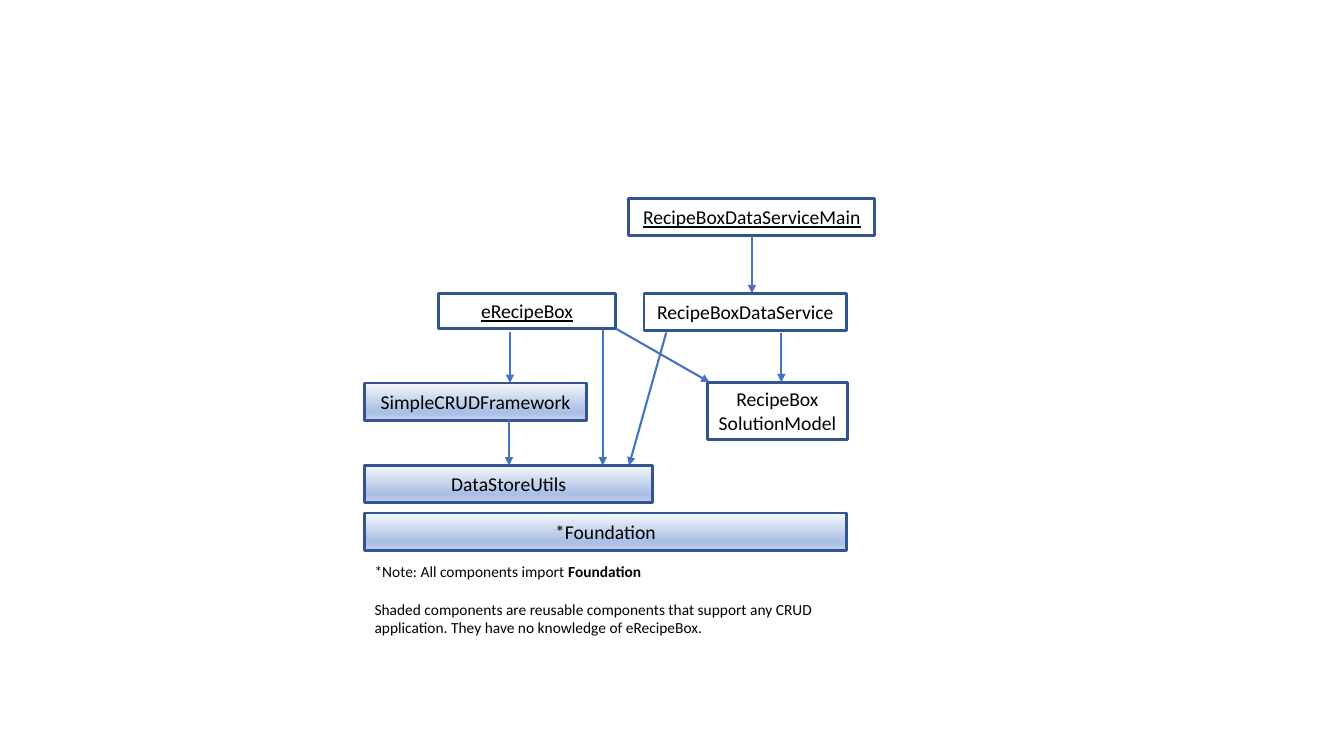
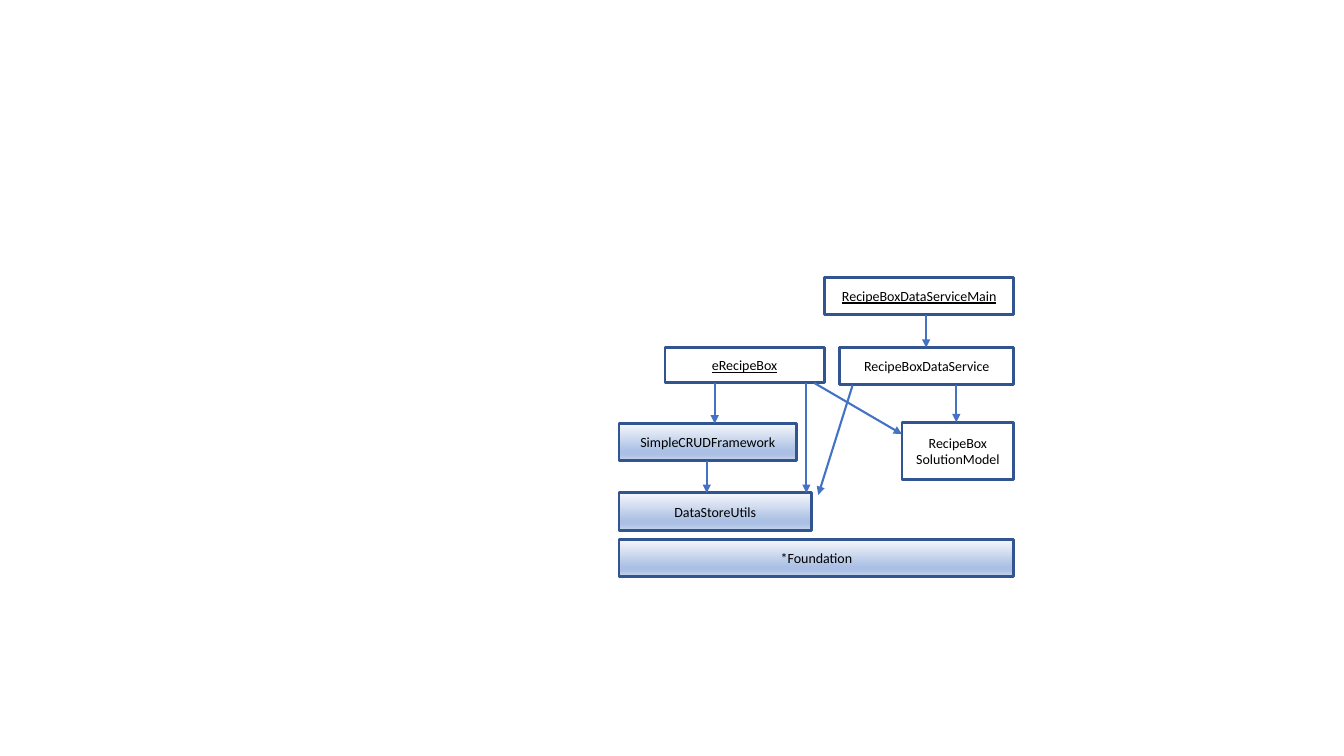
from dataclasses import dataclass

from lxml.etree import SubElement
from pptx import Presentation
from pptx.dml.color import RGBColor
from pptx.enum.shapes import MSO_CONNECTOR, MSO_SHAPE
from pptx.enum.text import MSO_ANCHOR, PP_ALIGN
from pptx.oxml.ns import qn
from pptx.util import Cm, Pt


@dataclass(frozen=True)
class Theme:
    font: str = "Calibri"
    ink: str = "000000"
    paper: str = "FFFFFF"
    border: str = "325491"
    arrow: str = "4472C4"
    shade: tuple = ((0, "F6F8FC"), (74, "ABC0E4"), (83, "ABC0E4"), (100, "C7D5ED"))
    border_width: float = 2
    arrow_width: float = 1.5
    note_size: float = 11
    note_gap: float = 13.4


THEME = Theme()

# Component: label, look, height in cm
COMPONENTS = {
    "foundation": ("*Foundation", "shaded", 0.94),
    "store": ("DataStoreUtils", "shaded", 0.94),
    "app": ("eRecipeBox", "program", 0.89),
    "crud": ("SimpleCRUDFramework", "shaded", 0.94),
    "service": ("RecipeBoxDataService", "plain", 0.94),
    "main": ("RecipeBoxDataServiceMain", "program", 0.94),
    "model": ("RecipeBox\nSolutionModel", "solid", 1.45),
}

# Boxes: left, top, width. Imports: from, x, to, x, gap below the first, drop into the second.
DIAGRAMS = [
    {
        "label_size": 14,
        "boxes": {
            "foundation": (9.19, 12.93, 12.14),
            "store": (9.19, 11.73, 7.26),
            "app": (11.05, 7.39, 4.47),
            "crud": (9.19, 9.65, 5.59),
            "service": (16.23, 7.39, 5.11),
            "main": (15.85, 5, 6.2),
            "model": (17.83, 9.63, 3.53),
        },
        "imports": [
            ("app", 12.85, "crud", 12.85, 0.08, 0),
            ("app", 15.19, "store", 15.19, 0, 0),
            ("main", 18.95, "service", 18.95, 0, 0),
            ("crud", 12.83, "store", 12.83, 0, 0),
            ("service", 19.69, "model", 19.69, 0.05, 0),
            ("service", 16.79, "store", 15.85, 0.05, 0),
            ("app", 15.52, "model", 17.88, 0, 0),
        ],
        "note_at": (9.19, 14.05, 12.14, 2.13),
        "note": [
            [("*Note: All components import ", False), ("Foundation", True)],
            [("Shaded components are reusable components that support any CRUD "
              "application. They have no knowledge of eRecipeBox.", False)],
        ],
    },
    {
        "label_size": 10,
        "boxes": {
            "foundation": (15.6, 13.59, 9.95),
            "store": (15.6, 12.42, 4.85),
            "app": (16.76, 8.76, 4.01),
            "crud": (15.6, 10.67, 4.47),
            "service": (21.16, 8.76, 4.39),
            "main": (20.78, 6.99, 4.77),
            "model": (22.73, 10.64, 2.82),
        },
        "imports": [
            ("app", 18.01, "crud", 18.01, 0, 0),
            ("app", 20.32, "store", 20.32, 0, 0),
            ("main", 23.34, "service", 23.34, 0, 0),
            ("crud", 17.81, "store", 17.81, 0, 0),
            ("service", 24.1, "model", 24.1, 0, 0),
            ("service", 21.49, "store", 20.62, 0, 0.05),
            ("app", 20.52, "model", 22.73, 0, 0.3),
        ],
    },
]


def style_font(font, size, **formats):
    for name, value in {"name": THEME.font, "size": Pt(size), **formats}.items():
        setattr(font, name, value)
    font.color.rgb = RGBColor.from_string(THEME.ink)


def style_line(line, color, width):
    line.color.rgb = RGBColor.from_string(color)
    line.width = Pt(width)


def shade(box):
    """Fill the box from light at the top to blue near the bottom."""
    box.fill.gradient()
    box.fill.gradient_angle = 270
    stops = box.fill._fill._gradFill.find(qn("a:gsLst"))
    stops.clear()
    for percent, color in THEME.shade:
        stop = SubElement(stops, qn("a:gs"), pos=str(percent * 1000))
        SubElement(stop, qn("a:srgbClr"), val=color)


def add_component(slide, key, place, label_size):
    label, look, height = COMPONENTS[key]
    left, top, width = place
    box = slide.shapes.add_shape(
        MSO_SHAPE.RECTANGLE, Cm(left), Cm(top), Cm(width), Cm(height))
    box.shadow.inherit = False
    style_line(box.line, THEME.border, THEME.border_width)
    if look == "shaded":
        shade(box)
    elif look == "solid":
        box.fill.solid()
        box.fill.fore_color.rgb = RGBColor.from_string(THEME.paper)
    else:
        box.fill.background()

    frame = box.text_frame
    frame_format = {"text": label, "vertical_anchor": MSO_ANCHOR.MIDDLE,
                    "margin_left": Cm(0.1), "margin_right": Cm(0.1)}
    for name, value in frame_format.items():
        setattr(frame, name, value)
    for paragraph in frame.paragraphs:
        paragraph.alignment = PP_ALIGN.CENTER
        for run in paragraph.runs:
            style_font(run.font, label_size, underline=look == "program")


def add_import(slide, boxes, importer, start_x, imported, end_x, gap, drop):
    """Draw an arrow from the importer's bottom to the imported component's top."""
    start_y = boxes[importer][1] + COMPONENTS[importer][2] + gap
    end_y = boxes[imported][1] + drop
    arrow = slide.shapes.add_connector(
        MSO_CONNECTOR.STRAIGHT, Cm(start_x), Cm(start_y), Cm(end_x), Cm(end_y))
    style_line(arrow.line, THEME.arrow, THEME.arrow_width)
    SubElement(arrow.line._get_or_add_ln(), qn("a:tailEnd"), type="triangle")
    SubElement(arrow._element.spPr, qn("a:effectLst"))


def add_note(slide, place, note):
    frame = slide.shapes.add_textbox(*map(Cm, place)).text_frame
    frame.word_wrap = True
    for index, pieces in enumerate(note):
        paragraph = frame.add_paragraph() if index else frame.paragraphs[0]
        paragraph.space_before = Pt(THEME.note_gap if index else 0)
        for words, bold in pieces:
            run = paragraph.add_run()
            run.text = words
            style_font(run.font, THEME.note_size, bold=bold)


def add_diagram(deck, diagram):
    slide = deck.slides.add_slide(deck.slide_layouts[6])
    boxes = diagram["boxes"]
    for key, place in boxes.items():
        add_component(slide, key, place, diagram["label_size"])
    for link in diagram["imports"]:
        add_import(slide, boxes, *link)
    if "note" in diagram:
        add_note(slide, diagram["note_at"], diagram["note"])


def main():
    deck = Presentation()
    deck.slide_width, deck.slide_height = Cm(33.87), Cm(19.05)
    for diagram in DIAGRAMS:
        add_diagram(deck, diagram)
    deck.save("out.pptx")


if __name__ == "__main__":
    main()
